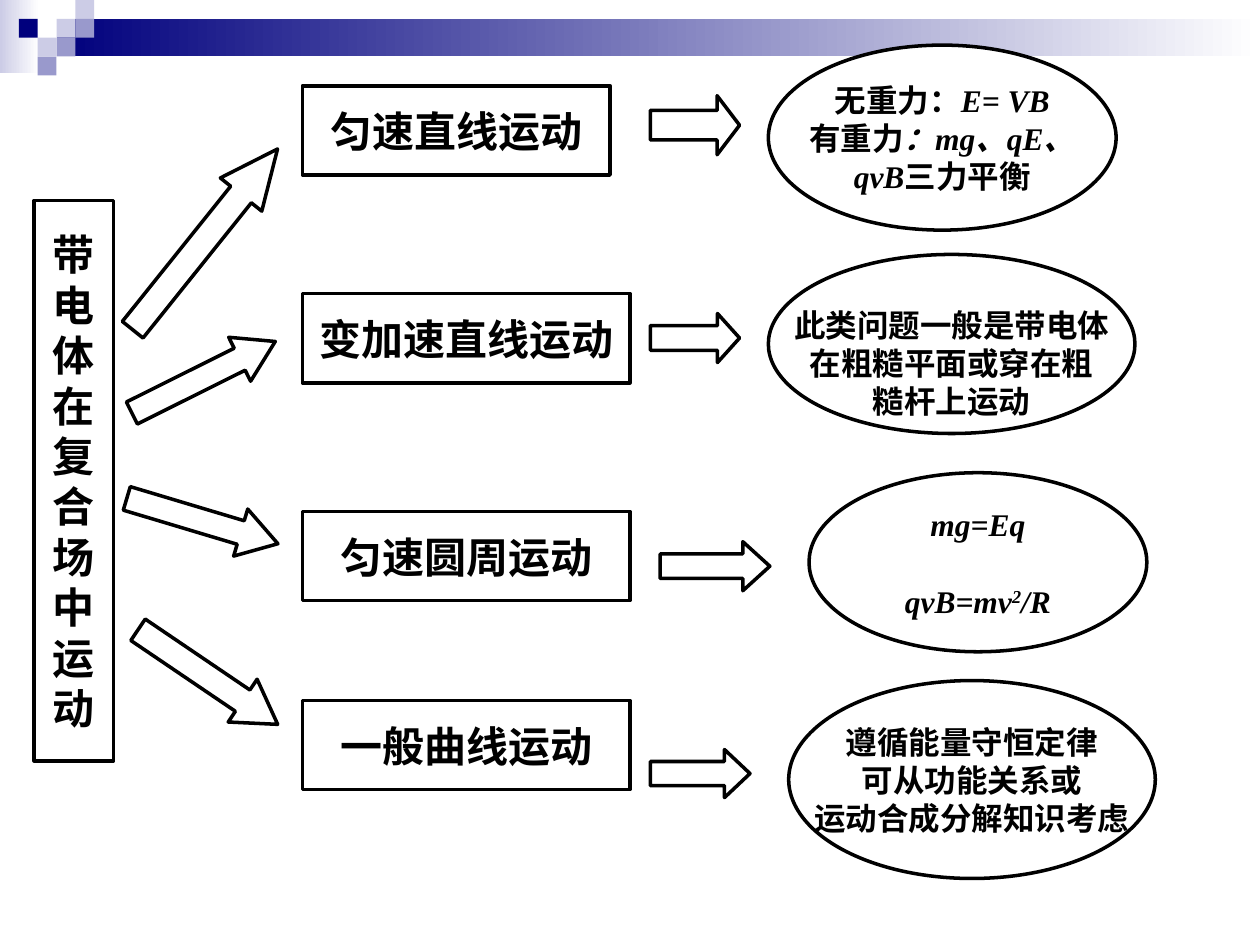
from dataclasses import dataclass

from pptx import Presentation
from pptx.dml.color import RGBColor
from pptx.enum.shapes import MSO_SHAPE
from pptx.enum.text import MSO_ANCHOR, PP_ALIGN
from pptx.util import Cm, Pt

NAVY, MID, PALE = "00007D", "9999CC", "CCCCE6"
WHITE, BLACK = "FFFFFF", "000000"
UNIT = 0.38  # side of one corner square, cm


@dataclass
class Area:
    x: float
    y: float
    w: float
    h: float


@dataclass
class Part:
    text: str
    math: bool = False
    sup: bool = False


@dataclass
class Arrow:
    area: Area
    head: float
    turn: float = 0
    fill: str | None = WHITE


@dataclass
class Row:
    title: str
    box: Area
    fan: Arrow
    step: Arrow
    oval: Area
    note: list[list[Part]]
    inset: float = 0.13  # top margin of the note
    gap: float = 0       # points between lines of the note


def color(code: str) -> RGBColor:
    return RGBColor.from_string(code)


def shape(slide, kind, area: Area, fill: str | None = None, line: str | None = None):
    item = slide.shapes.add_shape(kind, Cm(area.x), Cm(area.y), Cm(area.w), Cm(area.h))
    item.shadow.inherit = False
    if fill:
        item.fill.solid()
        item.fill.fore_color.rgb = color(fill)
    else:
        item.fill.background()
    if line:
        item.line.color.rgb = color(line)
        item.line.width = Pt(2)
    else:
        item.line.fill.background()
    return item


def fade(slide, area: Area, tint: str) -> None:
    item = shape(slide, MSO_SHAPE.RECTANGLE, area)
    item.fill.gradient()
    item.fill.gradient_angle = 180
    for stop, code, place in zip(item.fill.gradient_stops, (WHITE, tint), (0, 1)):
        stop.color.rgb = color(code)
        stop.position = place


def write(item, lines: list[list[Part]], size: int, inset: float = 0.13, gap: float = 0) -> None:
    frame = item.text_frame
    frame.word_wrap = False
    frame.vertical_anchor = MSO_ANCHOR.MIDDLE
    frame.margin_top = Cm(inset)
    frame.text = "\n".join(line[0].text for line in lines)
    for num, (para, line) in enumerate(zip(frame.paragraphs, lines)):
        para.alignment = PP_ALIGN.CENTER
        if num and gap:
            para.space_before = Pt(gap)
        for part in line[1:]:
            para.add_run().text = part.text
        for run, part in zip(para.runs, line):
            font = run.font
            font.name = "Times New Roman" if part.math else "Arial"
            font.size, font.bold, font.italic = Pt(size), True, part.math
            font.color.rgb = color(BLACK)
            if part.sup:
                run._r.get_or_add_rPr().set("baseline", "30000")


def point(slide, arrow: Arrow) -> None:
    item = shape(slide, MSO_SHAPE.RIGHT_ARROW, arrow.area, arrow.fill, BLACK)
    item.adjustments[0] = 0.5
    item.adjustments[1] = arrow.head
    item.rotation = arrow.turn


def draw(slide, row: Row) -> None:
    box = shape(slide, MSO_SHAPE.RECTANGLE, row.box, None, BLACK)
    write(box, [[Part(row.title)]], 24)
    point(slide, row.fan)
    point(slide, row.step)
    oval = shape(slide, MSO_SHAPE.OVAL, row.oval, WHITE, BLACK)
    write(oval, row.note, 18, row.inset, row.gap)


ROWS = [
    Row("匀速直线运动", Area(6.1, 1.73, 6.2, 1.8),
        Arrow(Area(1.8, 4.29, 4.67, 1.07), 1.1, 308.7, None),
        Arrow(Area(13.11, 1.93, 1.8, 1.19), 0.38),
        Area(15.49, 0.91, 7.01, 3.73),
        [[Part("无重力："), Part("E= VB", True)],
         [Part("有重力"), Part("：mg、qE、", True)],
         [Part("qvB", True), Part("三力平衡")]]),
    Row("变加速直线运动", Area(6.1, 5.92, 6.6, 1.8),
        Arrow(Area(2.49, 7.11, 3.23, 0.99), 0.81, 333.5),
        Arrow(Area(13.11, 6.32, 1.8, 0.99), 0.45),
        Area(15.49, 5.13, 7.39, 3.61),
        [[Part("此类问题一般是带电体")],
         [Part("在粗糙平面或穿在粗")],
         [Part("糙杆上运动")]], inset=0.89),
    Row("匀速圆周运动", Area(6.1, 10.31, 6.6, 1.8),
        Arrow(Area(2.49, 10.01, 3.18, 0.99), 0.79, 16.7),
        Arrow(Area(13.31, 10.92, 2.21, 0.99), 0.55),
        Area(16.31, 9.53, 6.81, 3.61),
        [[Part("mg=Eq", True)],
         [Part("qvB=mv", True), Part("2", True, True), Part("/R", True)]], gap=22),
    Row("一般曲线运动", Area(6.1, 14.12, 6.6, 1.8),
        Arrow(Area(2.49, 13.13, 3.4, 1.04), 0.82, 34.1),
        Arrow(Area(13.11, 15.11, 2.01, 0.97), 0.53),
        Area(15.9, 13.72, 7.39, 3.99),
        [[Part("遵循能量守恒定律")],
         [Part("可从功能关系或")],
         [Part("运动合成分解知识考虑")]]),
]

# Column, row and colour of each corner square
TILES = [(3, 1, PALE), (4, 0, PALE), (4, 1, MID), (2, 2, PALE),
         (1, 1, NAVY), (3, 2, MID), (2, 3, MID)]


def main() -> None:
    deck = Presentation()
    deck.slide_width, deck.slide_height = Cm(25.4), Cm(19.05)
    slide = deck.slides.add_slide(deck.slide_layouts[6])

    # Top band with corner squares
    fade(slide, Area(0, 0, 0.79, 1.47), PALE)
    fade(slide, Area(3 * UNIT, UNIT, 24.26, 2 * UNIT), NAVY)
    for col, row, tint in TILES:
        shape(slide, MSO_SHAPE.RECTANGLE, Area(col * UNIT, row * UNIT, UNIT, UNIT), tint)

    # Vertical topic on the left
    topic = shape(slide, MSO_SHAPE.RECTANGLE, Area(0.69, 4.04, 1.6, 11.3), WHITE, BLACK)
    write(topic, [[Part(sign)] for sign in "带电体在复合场中运动"], 24)

    # Four kinds of motion, each with its note
    for row in ROWS:
        draw(slide, row)

    deck.save("out.pptx")


if __name__ == "__main__":
    main()
